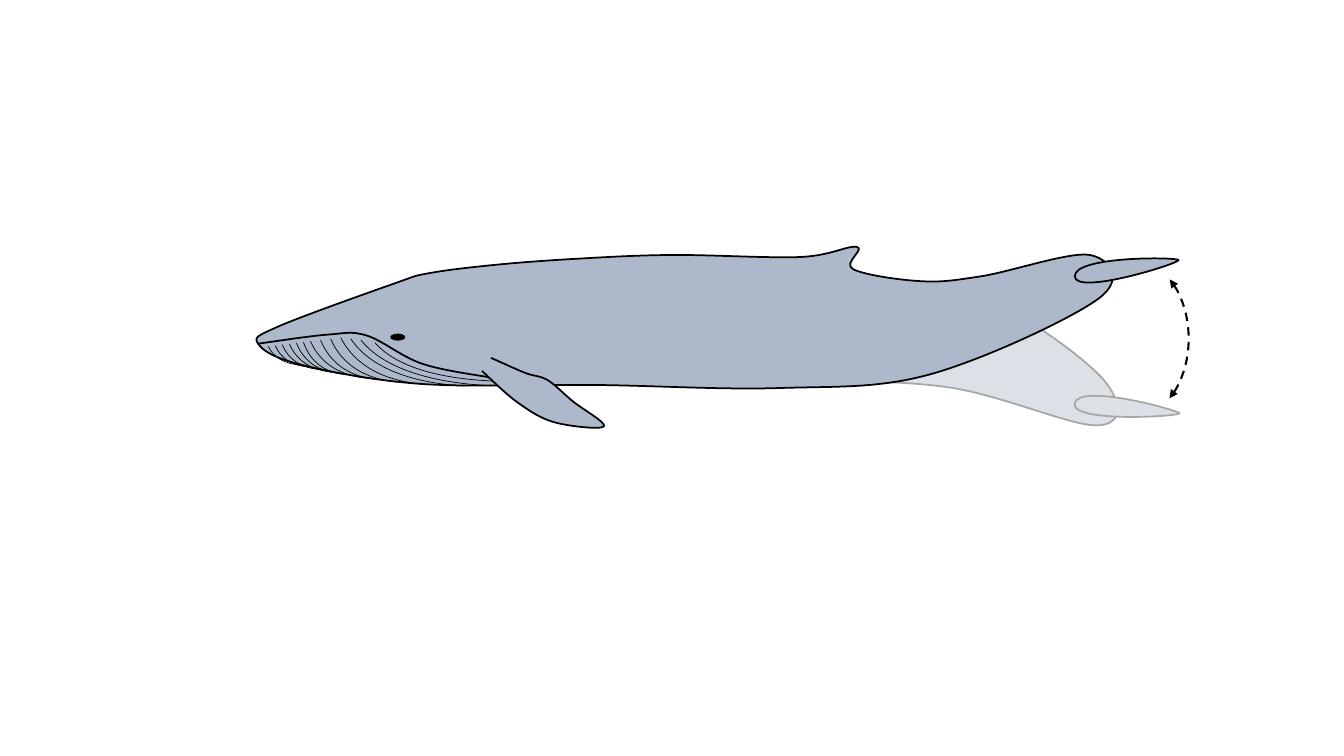
from lxml.etree import Element, SubElement
from pptx import Presentation
from pptx.dml.color import RGBColor
from pptx.enum.dml import MSO_LINE
from pptx.enum.shapes import MSO_SHAPE
from pptx.oxml.ns import qn
from pptx.util import Inches, Pt

BLACK = RGBColor(0x00, 0x00, 0x00)
SKIN = RGBColor(0xAD, 0xB9, 0xCA)
PALE = RGBColor(0xDC, 0xE1, 0xE8)
GREY = RGBColor(0xA6, 0xA6, 0xA6)

BELLY = [(2.99, 3.62), (4.19, 3.81), (5.92, 3.82), (7.73, 3.85)]
TAIL_UP = [(9.24, 3.71), (10.9, 2.96), (10.81, 2.53), (9.74, 2.74), (9.13, 2.79)]
TAIL_DOWN = [(9.39, 3.84), (10.88, 4.22), (10.98, 3.81), (10.06, 3.11), (9.13, 2.85)]
BACK_FIN = [(8.46, 2.67), (8.5, 2.45), (7.94, 2.55)]
BACK = [(6.66, 2.53), (5.68, 2.57), (4.89, 2.63)]
HEAD = [(4.26, 2.71), (3.92, 2.81), (2.76, 3.24), (2.56, 3.41)]
TOP = BACK_FIN + BACK + HEAD
MOUTH = [(4.89, 3.75), (4.19, 3.61), (3.64, 3.33), (3.25, 3.32), (2.56, 3.41)]
SIDE_FIN = [(4.87, 3.55), (5.21, 3.7), (5.43, 3.77), (5.68, 3.98),
            (5.99, 4.23), (5.5, 4.19), (5.13, 3.99), (4.78, 3.68)]
PLEAT_ENDS = [2.98, 3.05, 3.16, 3.3, 3.36, 3.41, 3.65, 3.75, 3.94, 4.22, 4.61, 4.88]


def shrink(points):
    return [(5.8 + 0.96 * (x - 5.8), 3.2 + 0.88 * (y - 3.2)) for x, y in points]


def smooth(knots, closed=False):
    first, last = (knots[-1], knots[0]) if closed else (knots[0], knots[-1])
    before = [first] + knots[:-1]
    after = knots[1:] + [last]
    bends = []
    for (px, py), (x, y), (nx, ny) in zip(before, knots, after):
        dx, dy = (nx - px) / 6, (ny - py) / 6
        bends += [(x - dx, y - dy), (x, y), (x + dx, y + dy)]
    if closed:
        return bends[1:] + bends[:2]
    return bends[1:-1]


def pleat(lip, end):
    wide, deep = end[0] - lip[0], end[1] - lip[1]
    near = (lip[0] + 0.17 * wide, lip[1] + 0.61 * deep)
    far = (lip[0] + 0.53 * wide, lip[1] + 0.94 * deep)
    return [end, far, near, lip]


def throat():
    for rank, end in enumerate(PLEAT_ENDS):
        lip = 2.66 + 0.07 * rank + 0.03 * max(0, rank - 6)
        lip_y = 3.35 + 0.12 * abs(lip - 3.38)
        end_y = 3.83 - 0.07 * (4.7 - end) ** 2
        yield pleat((lip, lip_y), (end, end_y))
    yield pleat((3.72, 3.4), (4.89, 3.78))


def fluke(root, tip, lean):
    (x, y), (tx, ty) = root, tip
    under = [(x - lean, y + 0.2), (tx + 0.02, ty + 0.03)]
    over = [(tx - 0.02, ty - 0.03), (x + lean, y - 0.2)]
    return [root, *under, tip, *over, root]


class Sketch:
    def __init__(self, slide, width):
        self.shapes = slide.shapes.add_group_shape().shapes
        self.width = width

    def paint(self, shape, fill, line, width=None):
        shape.shadow.inherit = False
        if fill is None:
            shape.fill.background()
        else:
            shape.fill.solid()
            shape.fill.fore_color.rgb = fill
        if line is None:
            shape.line.fill.background()
        else:
            shape.line.color.rgb = line
            shape.line.width = Pt(width or self.width)

    def curve(self, points, fill=None, line=BLACK, width=None):
        spots = [(Inches(x), Inches(y)) for x, y in points]
        form = self.shapes.build_freeform(*spots[0])
        form.add_line_segments(spots[3::3], close=spots[0] == spots[-1])
        shape = form.convert_to_shape()
        trace = shape._element.find(".//" + qn("a:path"))
        for step, edge in enumerate(trace.findall(qn("a:lnTo"))):
            bend = Element(qn("a:cubicBezTo"))
            for x, y in spots[3 * step + 1:3 * step + 4]:
                SubElement(bend, qn("a:pt"), x=str(x - shape.left), y=str(y - shape.top))
            trace.replace(edge, bend)
        self.paint(shape, fill, line, width)

    def preset(self, kind, left, top, width, height):
        box = [Inches(size) for size in (left, top, width, height)]
        return self.shapes.add_shape(kind, *box)

    def eye(self, *box):
        self.paint(self.preset(MSO_SHAPE.OVAL, *box), BLACK, None)

    def swing(self, *box, start, end):
        shape = self.preset(MSO_SHAPE.ARC, *box)
        shape.adjustments[0] = start
        shape.adjustments[1] = end
        self.paint(shape, None, BLACK, 1.5)
        shape.line.dash_style = MSO_LINE.DASH
        stroke = shape._element.spPr.find(qn("a:ln"))
        for tip in ("a:headEnd", "a:tailEnd"):
            SubElement(stroke, qn(tip), type="triangle")


def main():
    deck = Presentation()
    deck.slide_width, deck.slide_height = Inches(13.33), Inches(7.5)
    whale = Sketch(deck.slides.add_slide(deck.slide_layouts[6]), 1.25)
    ghost = shrink(BELLY) + TAIL_DOWN + shrink(TOP)
    whale.curve(smooth(ghost, closed=True), PALE, GREY)
    whale.curve(smooth(BELLY + TAIL_UP + TOP, closed=True), SKIN)
    whale.curve(fluke((10.66, 2.74), (11.69, 2.58), lean=0), SKIN)
    whale.curve(fluke((10.66, 4), (11.7, 4.1), lean=0.05), PALE, GREY)
    whale.curve(smooth(MOUTH))
    for fold in throat():
        whale.curve(fold, width=0.5)
    whale.curve(smooth(SIDE_FIN), SKIN)
    whale.eye(3.87, 3.31, 0.15, 0.07)
    whale.swing(10.73, 2.59, 1.06, 1.54, start=180.12, end=36.09)
    deck.save("out.pptx")


if __name__ == "__main__":
    main()
